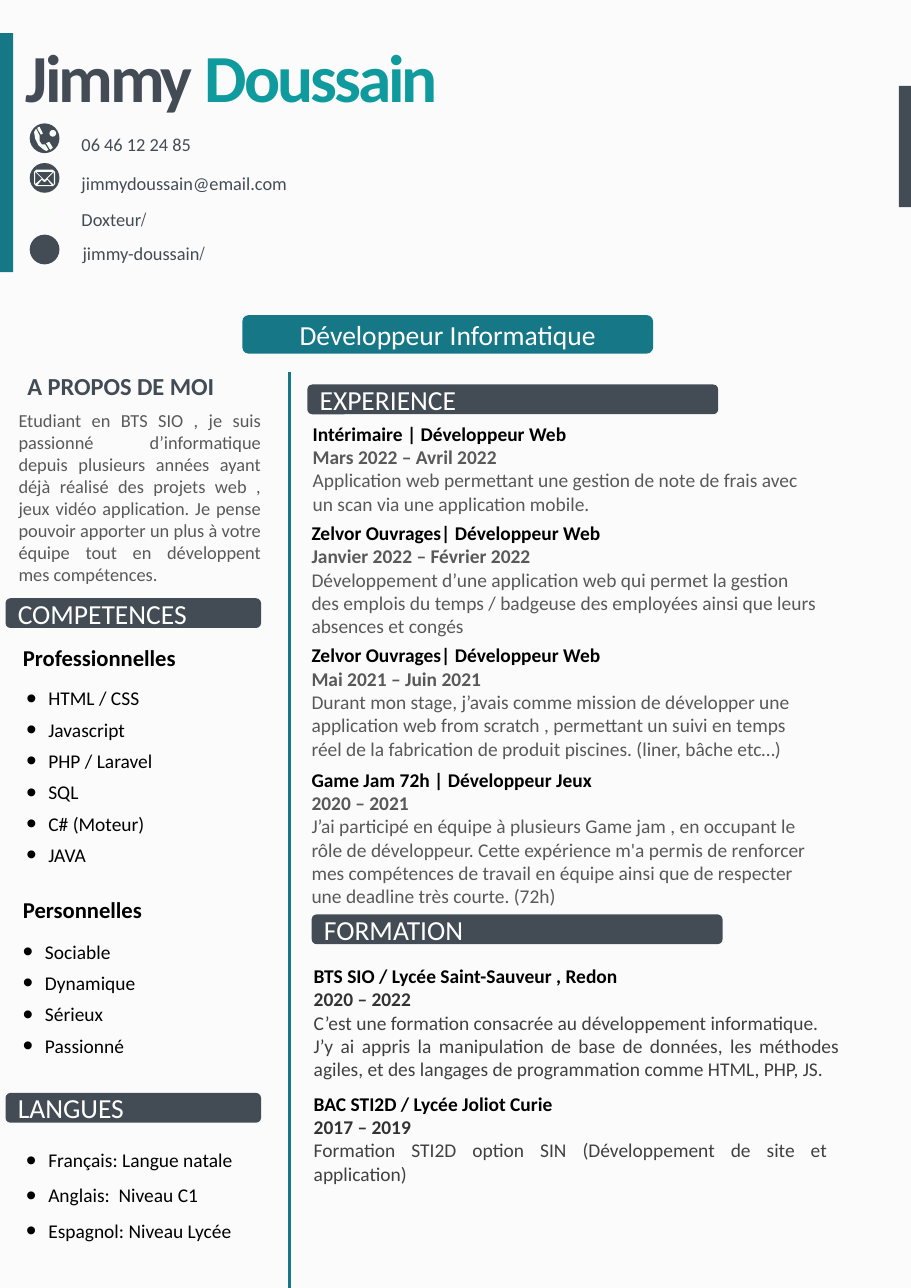
from math import cos, pi, sin
from lxml import etree
from pptx import Presentation
from pptx.dml.color import RGBColor
from pptx.enum.shapes import MSO_CONNECTOR, MSO_SHAPE
from pptx.enum.text import MSO_ANCHOR, MSO_AUTO_SIZE, PP_ALIGN
from pptx.oxml.ns import qn
from pptx.util import Inches, Pt

RECT, ROUND, OVAL = MSO_SHAPE.RECTANGLE, MSO_SHAPE.ROUNDED_RECTANGLE, MSO_SHAPE.OVAL
TOP, MIDDLE = MSO_ANCHOR.TOP, MSO_ANCHOR.MIDDLE
LEFT, CENTER, JUSTIFY = PP_ALIGN.LEFT, PP_ALIGN.CENTER, PP_ALIGN.JUSTIFY
GROW, FIXED = MSO_AUTO_SIZE.SHAPE_TO_FIT_TEXT, MSO_AUTO_SIZE.NONE
SLATE, TEAL, AQUA, ICON = "434C55", "167787", "0F9B9E", "F8FDF7"
BLACK, WHITE, GREY, DARK, BODY = "000000", "FFFFFF", "595959", "333333", "404040"

# Content: positions are left, top, width, height in inches
NAME = [("Jimmy ", SLATE), ("Doussain", AQUA)]
JOB = "Développeur Informatique"
ABOUT = ("Etudiant en BTS SIO , je suis passionné d’informatique depuis plusieurs années "
         "ayant déjà réalisé des projets web , jeux vidéo application. Je pense pouvoir "
         "apporter un plus à votre équipe tout en développent mes compétences.")
CONTACTS = [  # text, position, anchor, right to left
    ("06 46 12 24 85", (0.74, 1.18, 1.77, 0.22), TOP, False),
    ("jimmydoussain@email.com", (0.74, 1.54, 1.9, 0.22), MIDDLE, False),
    ("/Doxteur", (0.74, 1.88, 1.77, 0.21), MIDDLE, True),
    ("/jimmy-doussain", (0.75, 2.19, 1.77, 0.21), MIDDLE, True),
]
BANNERS = [
    ("EXPERIENCE", (2.79, 3.49, 3.73, 0.27)),
    ("FORMATION", (2.83, 8.3, 3.73, 0.27)),
    ("COMPETENCES", (0.05, 5.43, 2.32, 0.27)),
    ("LANGUES", (0.05, 9.92, 2.32, 0.27)),
]
JOBS = [
    ((2.74, 3.78, 4.8, 0.95), "Intérimaire | Développeur Web", "Mars 2022 – Avril 2022",
     "Application web permettant une gestion de note de frais avec un scan via une "
     "application mobile."),
    ((2.73, 4.68, 4.8, 1.17), "Zelvor Ouvrages| Développeur Web", "Janvier 2022 – Février 2022",
     "Développement d’une application web qui permet la gestion des emplois du temps / "
     "badgeuse des employées ainsi que leurs absences et congés"),
    ((2.73, 5.79, 4.8, 1.17), "Zelvor Ouvrages| Développeur Web", "Mai 2021 – Juin 2021",
     "Durant mon stage, j’avais comme mission de développer une application web from "
     "scratch , permettant un suivi en temps réel de la fabrication de produit piscines. "
     "(liner, bâche etc…)"),
    ((2.73, 6.92, 4.8, 1.38), "Game Jam 72h | Développeur Jeux", "2020 – 2021",
     "J’ai participé en équipe à plusieurs Game jam , en occupant le rôle de développeur. "
     "Cette expérience m'a permis de renforcer mes compétences de travail en équipe ainsi "
     "que de respecter une deadline très courte. (72h)"),
]
STUDIES = [
    ((2.75, 8.7, 4.97, 1.17), "BTS SIO / Lycée Saint-Sauveur , Redon", "2020 – 2022",
     "C’est une formation consacrée au développement informatique.",
     "J’y ai appris la manipulation de base de données, les méthodes agiles, et des "
     "langages de programmation comme HTML, PHP, JS."),
    ((2.75, 9.86, 4.86, 0.95), "BAC STI2D / Lycée Joliot Curie", "2017 – 2019",
     "Formation STI2D option SIN (Développement de site et application)"),
]
SUBHEADS = [("Professionnelles", (0.11, 5.79, 1.6, 0.35)),
            ("Personnelles", (0.11, 8.08, 1.29, 0.35))]
LISTS = [  # position, items, paragraph gaps in points
    ((0.14, 6.17, 2.08, 1.74),
     ["HTML / CSS", "Javascript", "PHP / Laravel", "SQL", "C# (Moteur)", "JAVA"], [2.1] * 6),
    ((0.11, 8.47, 2.08, 1.17), ["Sociable", "Dynamique", "Sérieux", "Passionné"], [2.1] * 4),
    ((0.14, 10.35, 2.5, 0.98),
     ["Français: Langue natale", "Anglais:  Niveau C1", "Espagnol: Niveau Lycée"], [0, 6.7, 0]),
]


def circle(x, y, radius, steps=16):
    return [(x + radius * cos(2 * pi * i / steps), y + radius * sin(2 * pi * i / steps))
            for i in range(steps)]


# Icon outlines, in inches
PHONE = [
    [(.44, 1.29), (.45, 1.29), (.48, 1.34), (.47, 1.35), (.46, 1.36), (.45, 1.35), (.42, 1.3)],
    circle(0.48, 1.21, 0.03),
    [(.33, 1.17), (.36, 1.23), (.36, 1.28), (.38, 1.31), (.41, 1.31), (.44, 1.36), (.42, 1.37),
     (.4, 1.36), (.35, 1.32), (.32, 1.26), (.31, 1.2), (.32, 1.18)],
    [(.36, 1.15), (.39, 1.21), (.38, 1.22), (.37, 1.22), (.34, 1.17), (.34, 1.16)],
]
ENVELOPE = [
    [(.38, 1.63), (.34, 1.68), (.47, 1.68), (.43, 1.63), (.41, 1.65), (.4, 1.65)],
    [(.49, 1.56), (.43, 1.62), (.49, 1.68)],
    [(.32, 1.56), (.32, 1.67), (.38, 1.62)],
    [(.33, 1.56), (.4, 1.63), (.41, 1.63), (.48, 1.56)],
    [(.33, 1.54), (.48, 1.54), (.5, 1.56), (.5, 1.67), (.48, 1.69), (.33, 1.69), (.31, 1.67),
     (.31, 1.56)],
]
PIN = [circle(0.4, 1.9, 0.03),
       [(.4, 1.83), (.44, 1.85), (.47, 1.9), (.45, 1.95), (.4, 2.04), (.34, 1.94), (.33, 1.9),
        (.35, 1.85)]]


def rgb(color):
    return RGBColor.from_string(color)


def style(r, size, color, bold=False):
    r.font.name, r.font.size, r.font.bold = "Calibri", Pt(size), bold
    r.font.color.rgb = rgb(color)


def paint(sp, color):
    sp.shadow.inherit = False
    sp.fill.solid()
    sp.fill.fore_color.rgb = rgb(color)
    sp.line.fill.background()


def write(tf, lines, anchor=TOP, auto=GROW, wrap=True, inset=True):
    """Fill a frame with (text, size, color, bold, alignment) lines."""
    tf.word_wrap, tf.auto_size, tf.vertical_anchor = wrap, auto, anchor
    if not inset:
        tf.margin_left = tf.margin_right = tf.margin_top = tf.margin_bottom = 0
    tf.text = "\n".join(line[0] for line in lines)
    for p, (_, size, color, bold, align) in zip(tf.paragraphs, lines):
        p.alignment = align
        style(p.runs[0], size, color, bold)
    return tf


def shape(kind, at, color):
    sp = s.shapes.add_shape(kind, *map(Inches, at))
    paint(sp, color)
    return sp


def textbox(at, lines, **options):
    return write(s.shapes.add_textbox(*map(Inches, at)).text_frame, lines, **options)


def icon(outlines):
    scaled = [[(x * 1000, y * 1000) for x, y in points] for points in outlines]
    builder = s.shapes.build_freeform(*scaled[0][0], scale=Inches(1) / 1000)
    for i, points in enumerate(scaled):
        if i:
            builder.move_to(*points[0])
        builder.add_line_segments(points[1:], close=True)
    paint(builder.convert_to_shape(), ICON)


def bullet(p):
    pPr = p._p.get_or_add_pPr()
    pPr.set("marL", str(Inches(0.2)))
    pPr.set("indent", str(-Inches(0.2)))
    for tag, key, value in (("a:buSzPct", "val", "150000"), ("a:buFont", "typeface", "Arial"),
                            ("a:buChar", "char", "•")):
        etree.SubElement(pPr, qn(tag)).set(key, value)


prs = Presentation()
prs.slide_width, prs.slide_height = Inches(8.27), Inches(11.69)
s = prs.slides.add_slide(prs.slide_layouts[5])
s.background.fill.solid()
s.background.fill.fore_color.rgb = rgb("FBFBFB")

# Name and side bars
shape(RECT, (0, 0.3, 0.12, 2.17), TEAL)
shape(RECT, (8.16, 0.78, 0.13, 1.1), SLATE)
title = s.shapes.title
title.left, title.top, title.width, title.height = map(Inches, (0.15, 0.32, 3.91, 0.74))
tf = write(title.text_frame, [(NAME[0][0], 44, SLATE, True, CENTER)], anchor=MIDDLE, inset=False)
p = tf.paragraphs[0]
r = p.add_run()
r.text = NAME[1][0]
for r, (_, color) in zip(p.runs, NAME):
    style(r, 44, color, True)
    r._r.get_or_add_rPr().set("spc", "-200")

# Contact lines and icons
for top in (1.12, 1.48, 2.13):
    shape(OVAL, (0.27, top, 0.27, 0.27), SLATE)
for outlines in (PHONE, ENVELOPE, PIN):
    icon(outlines)
for text, at, anchor, rtl in CONTACTS:
    tf = textbox(at, [(text, 12, SLATE, False, LEFT)], anchor=anchor, inset=False,
                 auto=FIXED if rtl else GROW)
    p = tf.paragraphs[0]
    p.line_spacing, p.space_before, p.space_after = 1.07 if rtl else 1.15, Pt(5), Pt(10)
    if rtl:
        p._p.get_or_add_pPr().set("rtl", "1")

# Banners and column divider
for text, at, color, align in [(JOB, (2.2, 2.86, 3.73, 0.35), TEAL, CENTER)] + [
        (text, at, SLATE, LEFT) for text, at in BANNERS]:
    write(shape(ROUND, at, color).text_frame, [(text, 18, WHITE, False, align)],
          anchor=MIDDLE, auto=FIXED)
divider = s.shapes.add_connector(MSO_CONNECTOR.STRAIGHT, *map(Inches, (2.63, 3.38, 2.63, 11.69)))
divider.line.color.rgb = rgb(TEAL)
divider.line.width = Pt(1.75)
etree.SubElement(divider._element.spPr, qn("a:effectLst"))

# Left column
textbox((0.15, 3.37, 2.49, 0.27), [("A PROPOS DE MOI", 16, SLATE, True, LEFT)],
        anchor=MIDDLE, auto=FIXED)
tf = textbox((0.07, 3.66, 2.4, 1.69), [(ABOUT, 12, GREY, False, JUSTIFY)], auto=FIXED)
tf.paragraphs[0].space_before = tf.paragraphs[0].space_after = Pt(2)
for text, at in SUBHEADS:
    textbox(at, [(text, 14.8, BLACK, True, LEFT)], anchor=MIDDLE, wrap=False)
for at, items, gaps in LISTS:
    tf = textbox(at, [(item, 12.7, BLACK, False, LEFT) for item in items], anchor=MIDDLE)
    for p, gap in zip(tf.paragraphs, gaps):
        p.line_spacing, p.space_before, p.space_after = 1.07, Pt(gap), Pt(gap)
        bullet(p)

# Right column
for entries, date_color, body_color, align in ((JOBS, GREY, GREY, LEFT),
                                               (STUDIES, DARK, BODY, JUSTIFY)):
    for at, heading, dates, *details in entries:
        textbox(at, [(heading, 12.7, BLACK, True, LEFT), (dates, 12.7, date_color, True, LEFT)]
                + [(text, 12.7, body_color, False, align) for text in details])

prs.save("out.pptx")
